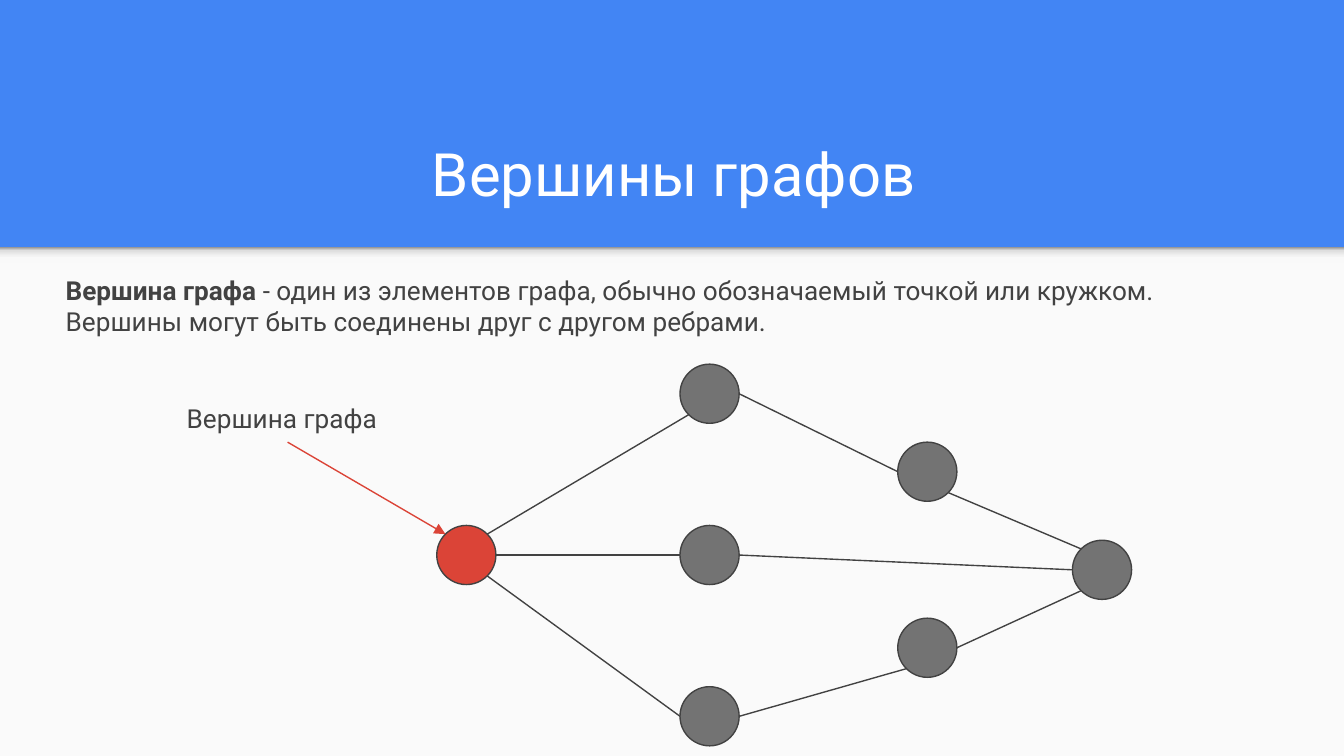
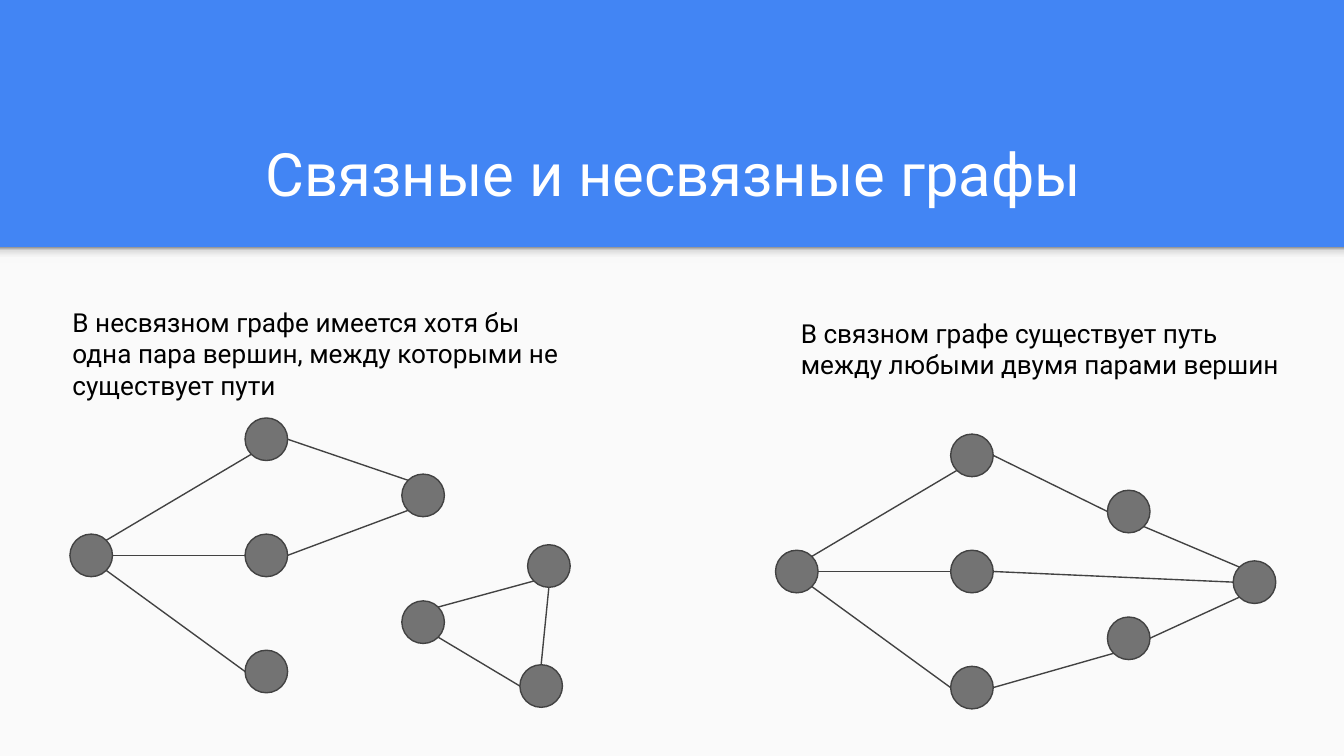
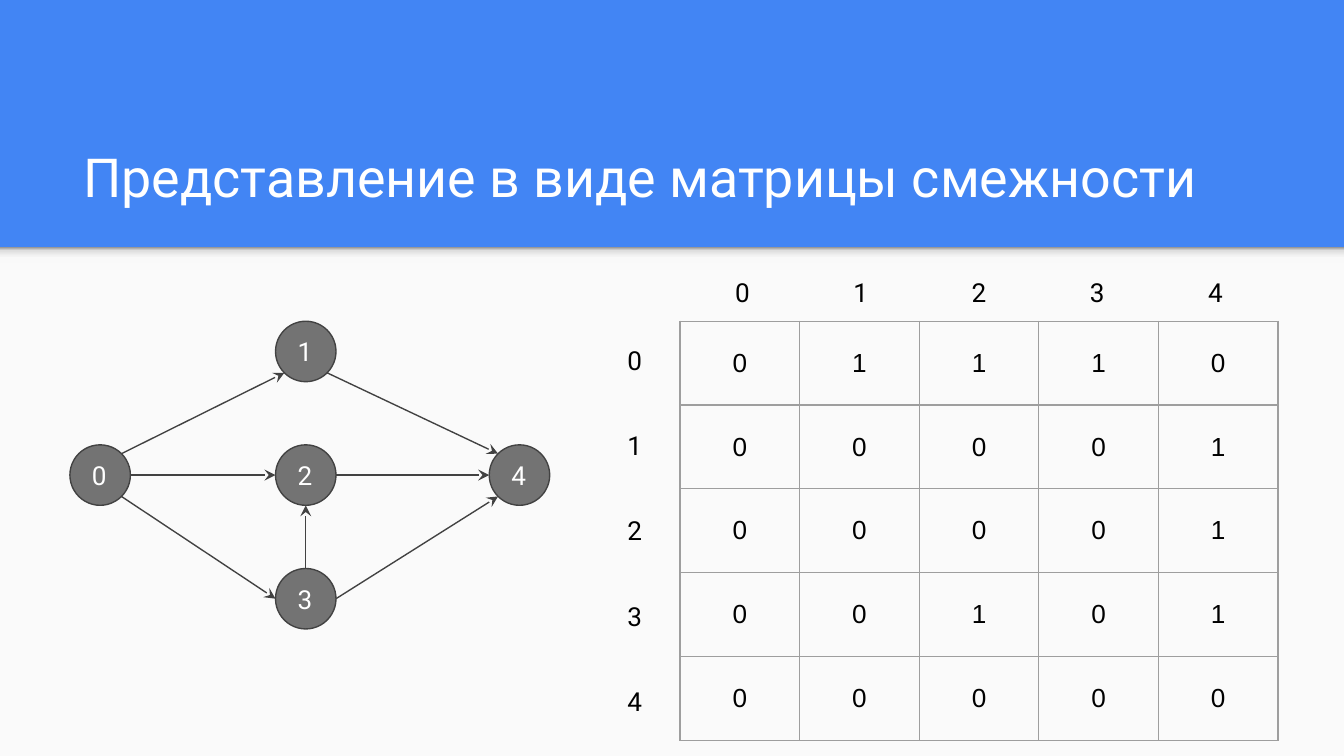
from dataclasses import dataclass
from enum import IntEnum
from math import cos, radians, sin

from lxml.etree import SubElement
from pptx import Presentation
from pptx.dml.color import RGBColor
from pptx.enum.shapes import MSO_CONNECTOR as Connector, MSO_SHAPE as Shape
from pptx.enum.text import MSO_ANCHOR as Anchor, MSO_AUTO_SIZE as AutoSize, PP_ALIGN as Align
from pptx.oxml.ns import qn
from pptx.util import Inches, Pt


@dataclass(frozen=True)
class Theme:
    band: str = "4285F4"
    panel: str = "FAFAFA"
    white: str = "FFFFFF"
    black: str = "000000"
    ink: str = "424242"
    node: str = "737373"
    accent: str = "DB4437"
    grid: str = "9E9E9E"
    shadow_stops: tuple = ((0, "F9F9F9"), (36, "F9F9F9"), (80, "DEDEDE"), (100, "999999"))
    font: str = "Roboto"
    table_font: str = "Arial"
    title_size: float = 32
    long_title_size: float = 28.8
    text_size: float = 14
    line_width: float = 0.75
    inset: float = 0.1


THEME = Theme()
WIDTH = 10
HEIGHT = WIDTH * 9 / 16
BAND_HEIGHT = 1.84


class Site(IntEnum):
    """Connection sites of an ellipse, counterclockwise from the top."""
    TOP = 0
    TOP_LEFT = 1
    LEFT = 2
    BOTTOM_LEFT = 3
    BOTTOM = 4
    BOTTOM_RIGHT = 5
    RIGHT = 6
    TOP_RIGHT = 7


T, TL, L, BL, B, BR, R, TR = Site

# Node positions are the left and top of each circle inside its graph.
NODE_SIZE = 0.44
NODES = [(0, 1.2), (1.81, 0), (1.81, 1.2), (1.81, 2.4),
         (3.43, 0.58), (3.43, 1.89), (4.73, 1.31), (4.65, 2.55)]
CONNECTED_NODES = NODES[:7]
SMALL = 0.72

# An edge is (start node, start site, end node, end site).
FAN = [(0, TR, 1, BL), (0, BR, 3, L), (0, R, 2, L)]
CONNECTED_EDGES = FAN + [(1, R, 4, L), (2, R, 6, L), (3, R, 5, BL),
                         (4, BR, 6, TL), (5, R, 6, BL)]
DISCONNECTED_EDGES = FAN + [(1, R, 4, TL), (2, R, 4, BL), (5, TR, 6, BL),
                            (5, BR, 7, L), (6, B, 7, T)]

DIRECTED_NODE_SIZE = 0.45
DIRECTED_NODES = [(0, 0.92), (1.53, 0), (1.53, 0.92), (1.53, 1.84), (3.12, 0.92)]
DIRECTED_EDGES = FAN + [(1, BR, 4, TL), (2, R, 4, L), (3, T, 2, B), (3, R, 4, BL)]
ADJACENCY = [[0, 1, 1, 1, 0],
             [0, 0, 0, 0, 1],
             [0, 0, 0, 0, 1],
             [0, 0, 1, 0, 1],
             [0, 0, 0, 0, 0]]


def rgb(colour):
    return RGBColor.from_string(colour)


def box(left, top, width, height):
    return Inches(left), Inches(top), Inches(width), Inches(height)


def set_insets(target):
    target.margin_left = target.margin_right = Inches(THEME.inset)
    target.margin_top = target.margin_bottom = Inches(THEME.inset)


def write(frame, runs, colour, size=THEME.text_size, font=THEME.font, align=Align.LEFT):
    """Fill the first paragraph with (text, bold) runs."""
    paragraph = frame.paragraphs[0]
    paragraph.alignment = align
    for text, bold in runs:
        run = paragraph.add_run()
        run.text = text
        run.font.name = font
        run.font.size = Pt(size)
        run.font.bold = bold
        run.font.color.rgb = rgb(colour)


def add_text(slide, bounds, runs, colour=THEME.black, align=Align.LEFT):
    frame = slide.shapes.add_textbox(*box(*bounds)).text_frame
    frame.word_wrap = True
    set_insets(frame)
    write(frame, runs, colour, align=align)


def add_line(shapes, start, end, colour=THEME.ink, head=None):
    line = shapes.add_connector(Connector.STRAIGHT, *map(Inches, (*start, *end)))
    line.line.color.rgb = rgb(colour)
    line.line.width = Pt(THEME.line_width)
    if head:
        SubElement(line.line._get_or_add_ln(), qn("a:tailEnd"), type=head)
    SubElement(line._element.spPr, qn("a:effectLst"))
    return line


def glue(line, tag, node, site):
    target = line._element.find(".//" + qn("p:cNvCxnSpPr"))
    SubElement(target, qn(tag), id=str(node.shape_id), idx=str(int(site)))


def site_point(left, top, diameter, site):
    angle = radians(90 + 45 * site)
    radius = diameter / 2
    return left + radius * (1 + cos(angle)), top + radius * (1 - sin(angle))


def add_node(shapes, left, top, diameter, colour, label):
    node = shapes.add_shape(Shape.OVAL, *box(left, top, diameter, diameter))
    node.shadow.inherit = False
    node.fill.solid()
    node.fill.fore_color.rgb = rgb(colour)
    node.line.color.rgb = rgb(THEME.ink)
    node.line.width = Pt(THEME.line_width)
    if label:
        set_insets(node.text_frame)
        node.text_frame.vertical_anchor = Anchor.MIDDLE
        write(node.text_frame, [(label, False)], THEME.white)
    return node


def add_graph(slide, left, top, nodes, edges, diameter=NODE_SIZE, scale=1,
              head=None, highlighted=None, labelled=False):
    shapes = slide.shapes.add_group_shape().shapes
    diameter *= scale
    places = [(left + x * scale, top + y * scale) for x, y in nodes]
    circles = [add_node(shapes, *place, diameter,
                        THEME.accent if index == highlighted else THEME.node,
                        str(index) if labelled else None)
               for index, place in enumerate(places)]
    for start, start_site, end, end_site in edges:
        line = add_line(shapes, site_point(*places[start], diameter, start_site),
                        site_point(*places[end], diameter, end_site), head=head)
        glue(line, "a:stCxn", circles[start], start_site)
        glue(line, "a:endCxn", circles[end], end_site)


def border_cell(cell):
    properties = cell._tc.get_or_add_tcPr()
    for side in ("a:lnL", "a:lnR", "a:lnT", "a:lnB"):
        border = SubElement(properties, qn(side), w=str(Pt(THEME.line_width)))
        fill = SubElement(border, qn("a:solidFill"))
        SubElement(fill, qn("a:srgbClr"), val=THEME.grid)


def add_matrix(slide, left, top, width, height, values):
    """Draw the matrix with its row and column numbers outside."""
    count = len(values)
    table = slide.shapes.add_table(count, count, *box(left, top, width, height)).table
    table.first_row = table.horz_banding = False
    for row, numbers in enumerate(values):
        table.rows[row].height = Inches(height / count)
        table.columns[row].width = Inches(width / count)
        for column, number in enumerate(numbers):
            cell = table.cell(row, column)
            border_cell(cell)
            cell.fill.background()
            cell.vertical_anchor = Anchor.MIDDLE
            set_insets(cell)
            write(cell.text_frame, [(str(number), False)], THEME.black,
                  font=THEME.table_font, align=Align.CENTER)
        label = [(str(row), False)]
        add_text(slide, (left - 0.49, top + 0.07 + 0.635 * row, 0.43, 0.44), label)
        add_text(slide, (left + 0.25 + 0.88 * row, top - 0.43, 0.43, 0.44), label,
                 align=Align.CENTER)


def add_master_rectangle(master, slide, bounds):
    """Make a rectangle on a slide and move it to the back of the master."""
    rectangle = slide.shapes.add_shape(Shape.RECTANGLE, *box(*bounds))
    rectangle.shadow.inherit = False
    rectangle.line.fill.background()
    master.shapes._spTree.insert(2, rectangle._element)
    return rectangle


def style_master(presentation, slide):
    master = presentation.slide_master
    master.background.fill.solid()
    master.background.fill.fore_color.rgb = rgb(THEME.band)

    shadow = add_master_rectangle(master, slide, (0, BAND_HEIGHT, WIDTH, 0.12))
    shadow.fill.gradient()
    shadow.fill.gradient_angle = 90
    stops = shadow._element.spPr.find(".//" + qn("a:gsLst"))
    stops.clear()
    for position, colour in THEME.shadow_stops:
        stop = SubElement(stops, qn("a:gs"), pos=str(position * 1000))
        SubElement(stop, qn("a:srgbClr"), val=colour)

    panel = add_master_rectangle(master, slide, (0, BAND_HEIGHT, WIDTH, HEIGHT - BAND_HEIGHT))
    panel.fill.solid()
    panel.fill.fore_color.rgb = rgb(THEME.panel)


def set_title(slide, text, size=THEME.title_size, align=Align.CENTER):
    title = slide.shapes.title
    title.left, title.top, title.width, title.height = box(0.52, 0.81, 8.99, 0.84)
    frame = title.text_frame
    frame.auto_size = AutoSize.NONE
    frame.word_wrap = True
    frame.vertical_anchor = Anchor.BOTTOM
    set_insets(frame)
    write(frame, [(text, False)], THEME.white, size, align=align)


def fill_vertices_slide(slide):
    set_title(slide, "Вершины графов")
    left, top = 3.25, 2.71
    add_graph(slide, left, top, CONNECTED_NODES, CONNECTED_EDGES, highlighted=0)
    x, y = NODES[0]
    add_line(slide.shapes, (2.14, 3.29), site_point(left + x, top + y, NODE_SIZE, TL),
             THEME.accent, "triangle")
    add_text(slide, (1.29, 2.89, 2.05, 0.48), [("Вершина графа", False)], THEME.ink)
    add_text(slide, (0.39, 1.94, 9.19, 0.68), [
        ("Вершина графа", True),
        (" - один из элементов графа, обычно обозначаемый точкой или кружком. "
         "Вершины могут быть соединены друг с другом ребрами.", False)], THEME.ink)


def fill_connectivity_slide(slide):
    set_title(slide, "Связные и несвязные графы")
    add_text(slide, (0.44, 2.18, 3.88, 0.84), [
        ("В несвязном графе имеется хотя бы одна пара вершин, "
         "между которыми не существует пути", False)])
    add_graph(slide, 0.52, 3.11, NODES, DISCONNECTED_EDGES, scale=SMALL)
    add_text(slide, (5.86, 2.26, 3.88, 0.84), [
        ("В связном графе существует путь между любыми двумя парами вершин", False)])
    add_graph(slide, 5.77, 3.23, CONNECTED_NODES, CONNECTED_EDGES, scale=SMALL)


def fill_matrix_slide(slide):
    set_title(slide, "Представление в виде матрицы смежности",
              THEME.long_title_size, Align.LEFT)
    add_graph(slide, 0.52, 2.39, DIRECTED_NODES, DIRECTED_EDGES, DIRECTED_NODE_SIZE,
              head="stealth", labelled=True)
    add_matrix(slide, 5.06, 2.39, 4.45, 3.12, ADJACENCY)


def main():
    presentation = Presentation()
    presentation.slide_width = Inches(WIDTH)
    presentation.slide_height = Inches(HEIGHT)
    title_only = presentation.slide_layouts.get_by_name("Title Only")
    slides = [presentation.slides.add_slide(title_only) for _ in range(3)]
    style_master(presentation, slides[0])
    for fill_slide, slide in zip(
            (fill_vertices_slide, fill_connectivity_slide, fill_matrix_slide), slides):
        fill_slide(slide)
    presentation.save("out.pptx")


if __name__ == "__main__":
    main()
